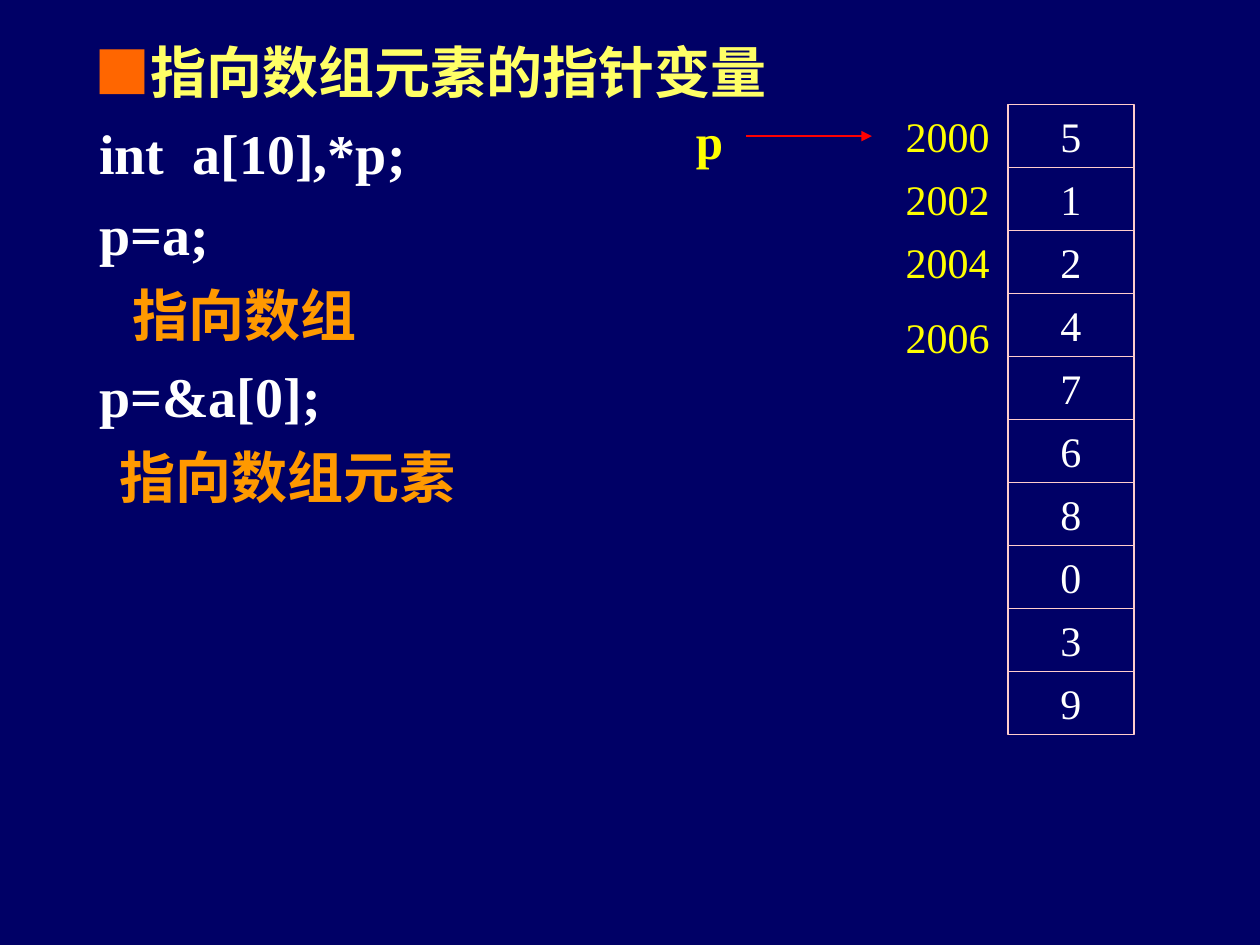
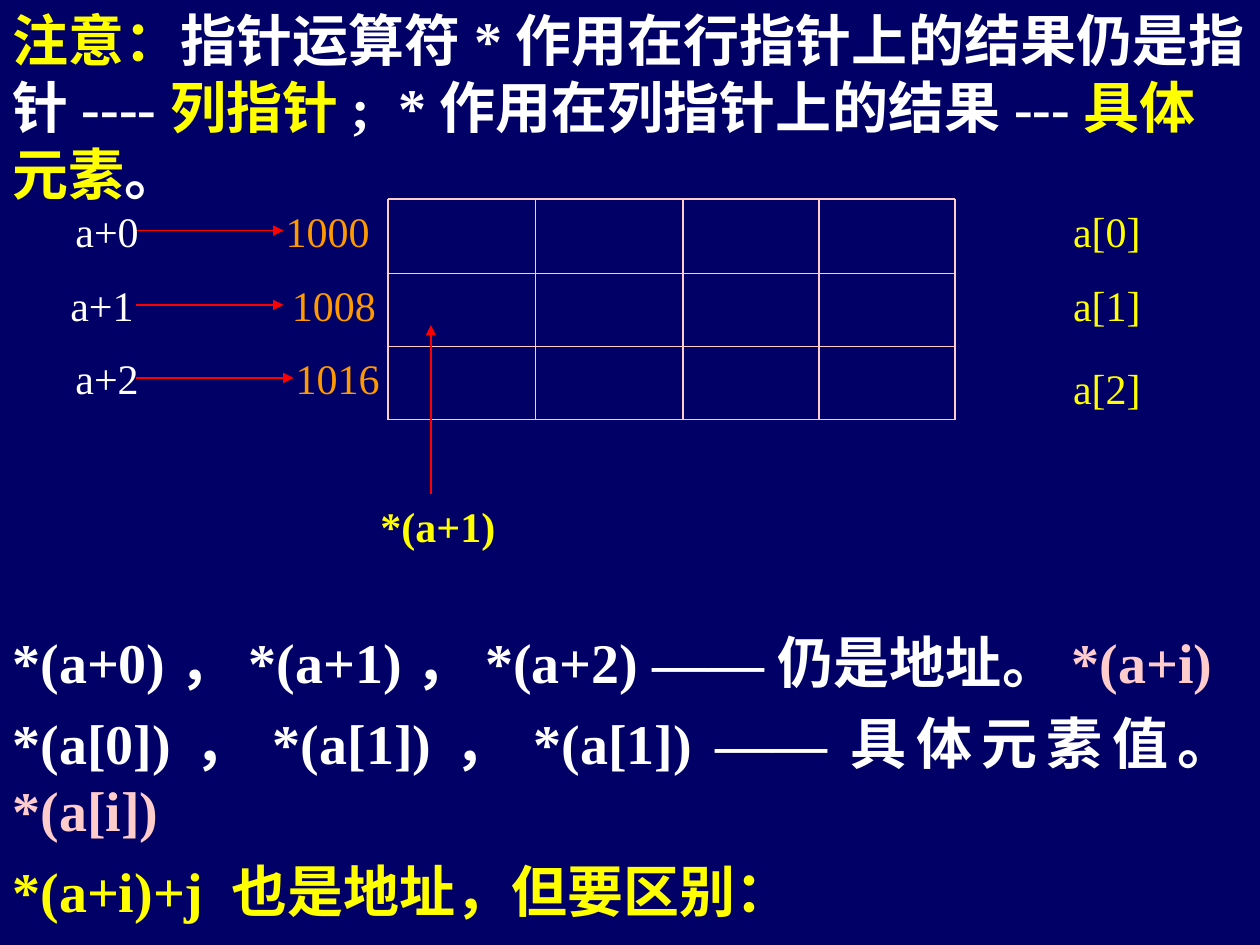
from dataclasses import dataclass

from lxml.etree import SubElement
from pptx import Presentation
from pptx.dml.color import RGBColor
from pptx.enum.shapes import MSO_CONNECTOR, MSO_SHAPE
from pptx.enum.text import PP_ALIGN
from pptx.oxml.ns import qn
from pptx.util import Inches, Pt


@dataclass(frozen=True)
class Theme:
    background: RGBColor = RGBColor(0x00, 0x00, 0x66)
    white: RGBColor = RGBColor(0xFF, 0xFF, 0xFF)
    yellow: RGBColor = RGBColor(0xFF, 0xFF, 0x00)
    title: RGBColor = RGBColor(0xFF, 0xFF, 0x66)
    marker: RGBColor = RGBColor(0xFF, 0x66, 0x00)
    orange: RGBColor = RGBColor(0xFF, 0x99, 0x00)
    pink: RGBColor = RGBColor(0xFF, 0xCC, 0xCC)
    red: RGBColor = RGBColor(0xFF, 0x00, 0x00)
    font: str = "Times New Roman"
    east_asian_font: str = "Noto Sans CJK SC"
    body: Pt = Pt(32)
    body_pitch: Pt = Pt(38.3)
    pointer: Pt = Pt(28)
    label: Pt = Pt(24)
    space: Pt = Pt(8)
    line: Pt = Pt(0.74)


theme = Theme()


def write(shape, paragraphs, size=theme.label, bold=False, body=False):
    frame = shape.text_frame
    frame.word_wrap = body
    if not body:
        frame.margin_left = frame.margin_right = Inches(0)
    for index, (indent, runs) in enumerate(paragraphs):
        paragraph = frame.paragraphs[0] if index == 0 else frame.add_paragraph()
        paragraph.alignment = PP_ALIGN.LEFT if body else PP_ALIGN.CENTER
        paragraph.space_before = theme.space if index else Pt(0)
        if body:
            paragraph.line_spacing = theme.body_pitch
        paragraph.font.name = theme.font
        paragraph.font.size = size
        paragraph.font.bold = bold
        properties = paragraph._p.get_or_add_pPr()
        properties.set("marL", str(Inches(indent)))
        east_asian = SubElement(properties.find(qn("a:defRPr")), qn("a:ea"))
        east_asian.set("typeface", theme.east_asian_font)
        for text, color in runs:
            run = paragraph.add_run()
            run.text = text
            run.font.color.rgb = color


def add_line(slide, left, top, right, bottom, color, arrow=False):
    connector = slide.shapes.add_connector(
        MSO_CONNECTOR.STRAIGHT, Inches(left), Inches(top), Inches(right), Inches(bottom))
    connector.line.color.rgb = color
    connector.line.width = theme.line
    if arrow:
        SubElement(connector.line._get_or_add_ln(), qn("a:tailEnd")).set("type", "triangle")
    SubElement(connector._element.spPr, qn("a:effectLst"))


presentation = Presentation()
presentation.slide_width = Inches(10)
presentation.slide_height = Inches(7.5)
slides = []
for _ in range(2):
    slide = presentation.slides.add_slide(presentation.slide_layouts[6])
    slide.background.fill.solid()
    slide.background.fill.fore_color.rgb = theme.background
    slides.append(slide)
array_slide, matrix_slide = slides

code = array_slide.shapes.add_textbox(Inches(0.25), Inches(0.25), Inches(6.5), Inches(5.5))
write(code, [
    (0.4, [("■", theme.marker), ("指向数组元素的指针变量", theme.title)]),
    (0.44, [("int  a[10],*p;", theme.white)]),
    (0.44, [("p=a;", theme.white)]),
    (0.7, [("指向数组", theme.orange)]),
    (0.44, [("p=&a[0];", theme.white)]),
    (0.6, [("指向数组元素", theme.orange)]),
], theme.body, bold=True, body=True)
code.text_frame.paragraphs[0].runs[0].font.name = theme.east_asian_font

cell_height = 0.5
array_top = 0.83
for index, value in enumerate([5, 1, 2, 4, 7, 6, 8, 0, 3, 9]):
    cell = array_slide.shapes.add_shape(
        MSO_SHAPE.RECTANGLE, Inches(8), Inches(array_top + index * cell_height),
        Inches(1), Inches(cell_height))
    cell.shadow.inherit = False
    cell.fill.background()
    cell.line.color.rgb = theme.pink
    cell.line.width = theme.line
    write(cell, [(0, [(str(value), theme.white)])])

for address, top in [(2000, 0.83), (2002, 1.33), (2004, 1.83), (2006, 2.42)]:
    label = array_slide.shapes.add_textbox(Inches(7.09), Inches(top), Inches(0.86), Inches(0.5))
    write(label, [(0, [(str(address), theme.yellow)])])

pointer = array_slide.shapes.add_textbox(Inches(5.42), Inches(0.83), Inches(0.42), Inches(0.57))
write(pointer, [(0, [("p", theme.yellow)])], theme.pointer, bold=True)
add_line(array_slide, 5.92, 1.08, 6.92, 1.08, theme.red, True)

note = matrix_slide.shapes.add_textbox(Inches(0), Inches(0), Inches(10), Inches(1.7))
write(note, [(0, [
    ("注意：", theme.yellow),
    ("指针运算符*作用在行指针上的结果仍是指针----", theme.white),
    ("列指针", theme.yellow),
    (";  *作用在列指针上的结果---", theme.white),
    ("具体元素", theme.yellow),
    ("。", theme.white),
])], theme.body, bold=True, body=True)

summary = matrix_slide.shapes.add_textbox(Inches(0), Inches(4.93), Inches(10), Inches(2.5))
write(summary, [
    (0, [("*(a+0)，*(a+1)，*(a+2) ——仍是地址。", theme.white), ("*(a+i)", theme.pink)]),
    (0, [("*(a[0])，*(a[1])，*(a[1]) ——具体元素值。", theme.white), ("*(a[i])", theme.pink)]),
    (0, [("*(a+i)+j 也是地址，但要区别：", theme.yellow)]),
], theme.body, bold=True, body=True)
summary.text_frame.paragraphs[1].alignment = PP_ALIGN.JUSTIFY

rows = [1.58, 2.17, 2.75, 3.33]
columns = [3.08, 4.25, 5.42, 6.5, 7.58]
for top in rows:
    add_line(matrix_slide, columns[0], top, columns[-1], top, theme.pink)
for left in columns:
    add_line(matrix_slide, left, rows[0], left, rows[-1], theme.pink)

labels = [("*(a+1)", 2.92, 3.92, 1.11, theme.yellow, True)]
address_lefts = [2.17, 2.22, 2.25]
pointer_lefts = [0.5, 0.46, 0.5]
name_tops = [1.58, 2.17, 2.83]
arrow_ends = [2.25, 2.25, 2.33]
for index, top in enumerate(rows[:3]):
    labels += [
        (str(1000 + 8 * index), address_lefts[index], top, 0.86, theme.orange, False),
        (f"a+{index}", pointer_lefts[index], top, 0.7, theme.white, False),
        (f"a[{index}]", 8.42, name_tops[index], 0.73, theme.yellow, False),
    ]
    add_line(matrix_slide, 1.08, top + 0.25, arrow_ends[index], top + 0.25, theme.red, True)
for text, left, top, width, color, bold in labels:
    label = matrix_slide.shapes.add_textbox(Inches(left), Inches(top), Inches(width), Inches(0.5))
    write(label, [(0, [(text, color)])], bold=bold)
add_line(matrix_slide, 3.42, 3.92, 3.42, 2.58, theme.red, True)

presentation.save("out.pptx")
